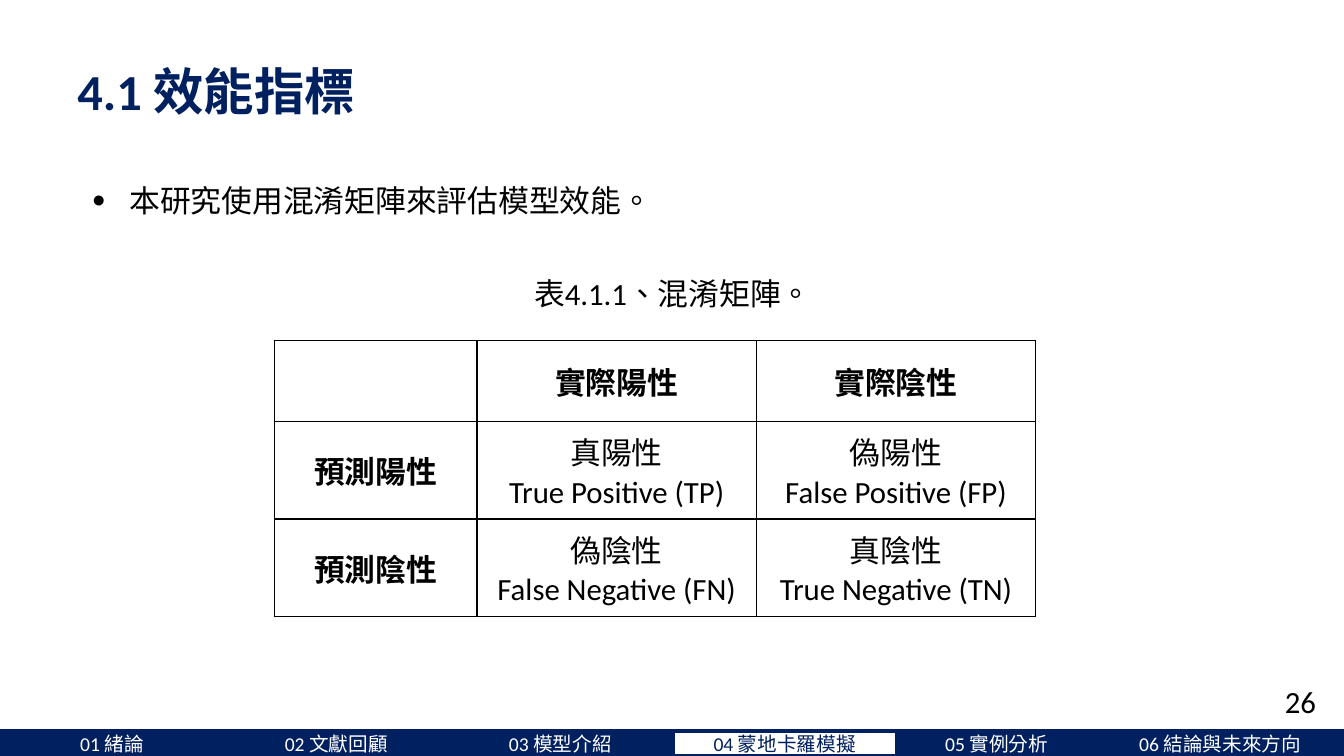
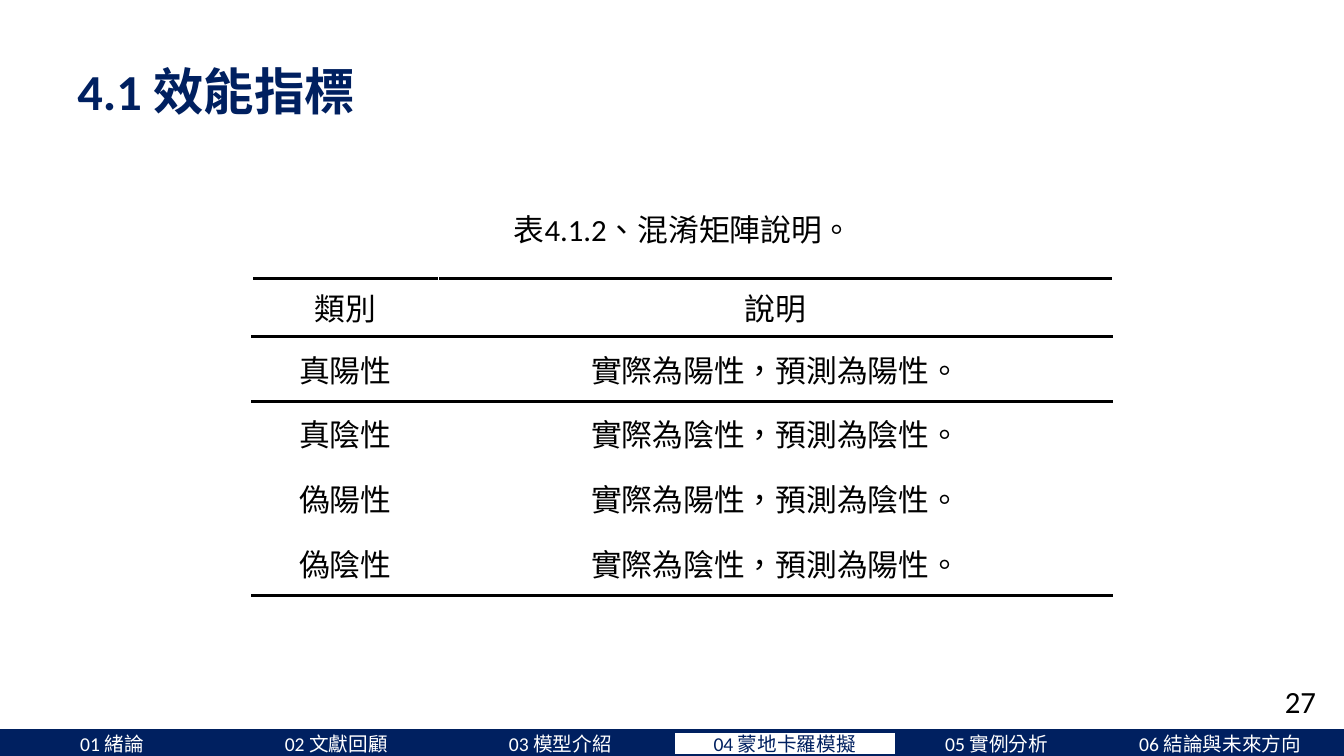
from dataclasses import dataclass

from lxml.etree import SubElement
from pptx import Presentation
from pptx.dml.color import RGBColor
from pptx.enum.lang import MSO_LANGUAGE_ID as Language
from pptx.enum.shapes import MSO_SHAPE as Shape
from pptx.enum.text import MSO_ANCHOR as Anchor, MSO_AUTO_SIZE as AutoSize, PP_ALIGN as Align
from pptx.oxml import parse_xml
from pptx.oxml.ns import nsdecls, qn
from pptx.slide import Slide, SlideMaster
from pptx.text.text import TextFrame
from pptx.util import Cm, Pt

NAVY = RGBColor(0x00, 0x20, 0x60)
BLACK = RGBColor(0x00, 0x00, 0x00)
WHITE = RGBColor(0xFF, 0xFF, 0xFF)
FONT = "Calibri"
SLIDE_WIDTH, SLIDE_HEIGHT = 33.87, 19.05
TAB_HEIGHT = 0.63
ACTIVE_TAB = "04 蒙地卡羅模擬"
TITLE_AND_CONTENT, TITLE_ONLY = 1, 5


@dataclass(frozen=True)
class Box:
    """A place on the slide, in centimetres."""
    left: float
    top: float
    width: float
    height: float

    def lengths(self) -> tuple[Cm, Cm, Cm, Cm]:
        return Cm(self.left), Cm(self.top), Cm(self.width), Cm(self.height)


@dataclass(frozen=True)
class Tab:
    label: str
    width: float


@dataclass(frozen=True)
class Border:
    color: RGBColor
    width: float


@dataclass(frozen=True)
class Grid:
    """A table: sizes in centimetres, with one rule more than there are rows."""
    left: float
    top: float
    columns: list[float]
    rows: list[float]
    texts: list[list[str]]
    side: Border
    rules: list[Border]
    bold_headers: bool = False


TABS = [
    Tab("01 緒論", 5.65),
    Tab("02 文獻回顧", 5.65),
    Tab("03 模型介紹", 5.65),
    Tab(ACTIVE_TAB, 5.65),
    Tab("05 實例分析", 5.03),
    Tab("06 結論與未來方向", 6.24),
]
TITLE_BOX = Box(1.7, 1.45, 17.02, 1.88)
BODY_BOX = Box(2.06, 3.51, 30.28, 1.88)
NUMBER_BOX = Box(32.13, 17.07, 1.45, 1.19)

THIN = Border(BLACK, 1)
HEAVY = Border(BLACK, 2.25)
HIDDEN = Border(WHITE, 1)

CONFUSION_MATRIX = Grid(
    6.91, 8.59, [5.11, 7.04, 7.04], [2.03, 2.46, 2.46],
    [
        ["", "實際陽性", "實際陰性"],
        ["預測陽性", "真陽性\nTrue Positive (TP)", "偽陽性\nFalse Positive (FP)"],
        ["預測陰性", "偽陰性\nFalse Negative (FN)", "真陰性\nTrue Negative (TN)"],
    ],
    side=THIN, rules=[THIN] * 4, bold_headers=True,
)
MATRIX_EXPLANATION = Grid(
    6.35, 7.01, [4.7, 16.99], [1.47] + [1.63] * 4,
    [
        ["類別", "說明"],
        ["真陽性", "實際為陽性，預測為陽性。"],
        ["真陰性", "實際為陰性，預測為陰性。"],
        ["偽陽性", "實際為陽性，預測為陰性。"],
        ["偽陰性", "實際為陰性，預測為陽性。"],
    ],
    side=HIDDEN, rules=[HEAVY] * 3 + [HIDDEN] * 2 + [HEAVY],
)


def write_text(frame: TextFrame, text: str, *, size: float = 22, color: RGBColor = BLACK,
               bold: bool = False, align: Align = Align.LEFT, line_spacing: float = 1,
               space_after: float = 0, bullet: bool = False) -> None:
    """Fill the frame with one paragraph for each line of text."""
    for index, line in enumerate(text.split("\n")):
        paragraph = frame.paragraphs[0] if index == 0 else frame.add_paragraph()
        paragraph.alignment = align
        paragraph.line_spacing = line_spacing
        paragraph.space_before = Pt(0)
        paragraph.space_after = Pt(space_after)
        if bullet:
            properties = paragraph._p.get_or_add_pPr()
            properties.set("marL", str(Cm(0.95)))
            properties.set("indent", str(-Cm(0.95)))
            SubElement(properties, qn("a:buSzPct"), val="75000")
            SubElement(properties, qn("a:buFont"), typeface="Arial")
            SubElement(properties, qn("a:buChar"), char="●")
        run = paragraph.add_run()
        run.text = line
        font = run.font
        font.name, font.size, font.bold = FONT, Pt(size), bold
        font.color.rgb = color
        font.language_id = Language.TRADITIONAL_CHINESE


def add_label(slide: Slide, box: Box, text: str) -> None:
    frame = slide.shapes.add_textbox(*box.lengths()).text_frame
    frame.word_wrap = False
    frame.auto_size = AutoSize.SHAPE_TO_FIT_TEXT
    write_text(frame, text)


def fill_placeholder(slide: Slide, index: int, box: Box, text: str, **text_format) -> TextFrame:
    placeholder = slide.placeholders[index]
    placeholder.left, placeholder.top, placeholder.width, placeholder.height = box.lengths()
    frame = placeholder.text_frame
    frame.auto_size = AutoSize.NONE
    frame.vertical_anchor = Anchor.TOP
    write_text(frame, text, **text_format)
    return frame


def add_navigation(master: SlideMaster, slide: Slide) -> None:
    """Draw the chapter tabs on the slide and move them to the master."""
    left = 0.0
    for number, tab in enumerate(TABS, start=1):
        box = Box(left, SLIDE_HEIGHT - TAB_HEIGHT, tab.width, TAB_HEIGHT)
        shape = slide.shapes.add_shape(Shape.RECTANGLE, *box.lengths())
        active = tab.label == ACTIVE_TAB
        shape.shadow.inherit = False
        shape.fill.solid()
        shape.fill.fore_color.rgb = WHITE if active else NAVY
        shape.line.color.rgb = NAVY
        shape.line.width = Pt(3)
        shape.text_frame.vertical_anchor = Anchor.MIDDLE
        write_text(shape.text_frame, tab.label, size=14, align=Align.CENTER,
                   color=NAVY if active else WHITE)
        shape.element.nvSpPr.cNvPr.set("id", str(100 + number))
        master.shapes.element.append(shape.element)
        left += tab.width


def set_borders(cell, left: Border, right: Border, top: Border, bottom: Border) -> None:
    properties = cell._tc.get_or_add_tcPr()
    sides = {"lnL": left, "lnR": right, "lnT": top, "lnB": bottom}
    for position, (tag, border) in enumerate(sides.items()):
        properties.insert(position, parse_xml(
            f'<a:{tag} {nsdecls("a")} w="{Pt(border.width)}"><a:solidFill>'
            f'<a:srgbClr val="{border.color}"/></a:solidFill></a:{tag}>'))


def add_grid(slide: Slide, grid: Grid) -> None:
    box = Box(grid.left, grid.top, sum(grid.columns), sum(grid.rows))
    table = slide.shapes.add_table(len(grid.rows), len(grid.columns), *box.lengths()).table
    table.first_row = table.horz_banding = False
    for column, width in zip(table.columns, grid.columns):
        column.width = Cm(width)
    for row_index, (row, height) in enumerate(zip(table.rows, grid.rows)):
        row.height = Cm(height)
        for column_index, cell in enumerate(row.cells):
            cell.fill.background()
            cell.vertical_anchor = Anchor.MIDDLE
            cell.margin_left = cell.margin_right = Cm(0.18)
            cell.margin_top = cell.margin_bottom = 0
            set_borders(cell, grid.side, grid.side,
                        grid.rules[row_index], grid.rules[row_index + 1])
            is_header = row_index == 0 or column_index == 0
            write_text(cell.text_frame, grid.texts[row_index][column_index],
                       align=Align.CENTER, bold=grid.bold_headers and is_header)


def add_slide(presentation: Presentation, layout: int, number: int) -> Slide:
    slide = presentation.slides.add_slide(presentation.slide_layouts[layout])
    frame = fill_placeholder(slide, 0, TITLE_BOX, "4.1 效能指標", size=36, color=NAVY,
                             bold=True, line_spacing=0.9)
    frame.margin_left = frame.margin_right = Cm(0.25)
    frame.margin_top = frame.margin_bottom = Cm(0.25)
    add_label(slide, NUMBER_BOX, str(number))
    return slide


def main() -> None:
    presentation = Presentation()
    presentation.slide_width, presentation.slide_height = Cm(SLIDE_WIDTH), Cm(SLIDE_HEIGHT)

    matrix_slide = add_slide(presentation, TITLE_AND_CONTENT, 26)
    add_navigation(presentation.slide_master, matrix_slide)
    fill_placeholder(matrix_slide, 1, BODY_BOX, "本研究使用混淆矩陣來評估模型效能。",
                     align=Align.JUSTIFY, line_spacing=2, space_after=12, bullet=True)
    add_label(matrix_slide, Box(13.21, 6.81, 7.44, 1.19), "表4.1.1、混淆矩陣。")
    add_grid(matrix_slide, CONFUSION_MATRIX)

    explanation_slide = add_slide(presentation, TITLE_ONLY, 27)
    add_label(explanation_slide, Box(12.7, 5.18, 9.02, 1.19), "表4.1.2、混淆矩陣說明。")
    add_grid(explanation_slide, MATRIX_EXPLANATION)

    presentation.save("out.pptx")


if __name__ == "__main__":
    main()
